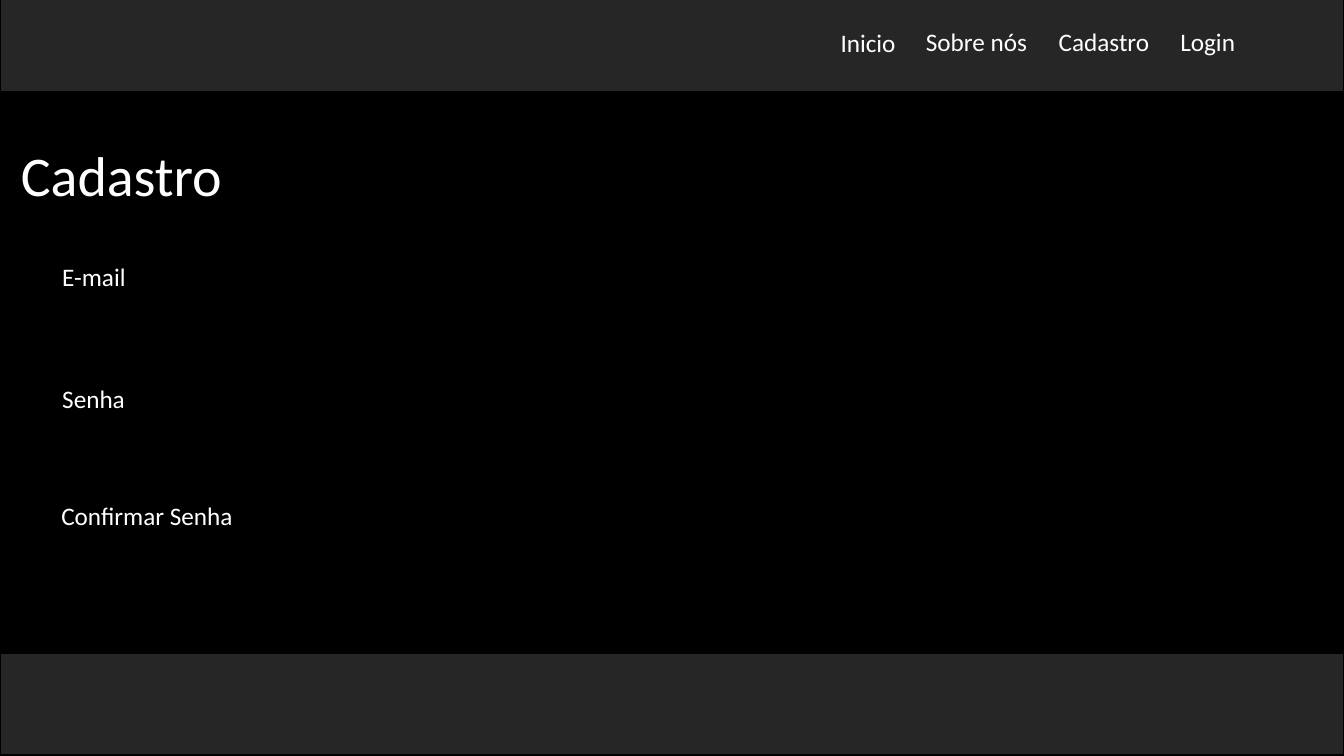
from pptx import Presentation
from pptx.dml.color import RGBColor
from pptx.enum.shapes import MSO_SHAPE as SHAPE
from pptx.enum.text import MSO_AUTO_SIZE as AUTO
from pptx.util import Pt

WIDTH, HEIGHT = 960, 540
BLACK, GRAY, WHITE = "000000", "262626", "FFFFFF"
BAR_HEIGHT = 72.7
LABEL_HEIGHT = 29


def color(hex_text):
    return RGBColor.from_string(hex_text)


def add_text(slide, text, left, top, width, height, size=18, wrap=False):
    tb = slide.shapes.add_textbox(Pt(left), Pt(top), Pt(width), Pt(height))
    tf = tb.text_frame
    tf.word_wrap = wrap
    tf.auto_size = AUTO.SHAPE_TO_FIT_TEXT
    r = tf.paragraphs[0].add_run()
    r.text = text
    r.font.name = "Calibri"
    r.font.size = Pt(size)
    r.font.color.rgb = color(WHITE)


def add_bar(slide, top):
    sp = slide.shapes.add_shape(SHAPE.RECTANGLE, 0, Pt(top), Pt(WIDTH), Pt(BAR_HEIGHT))
    sp.shadow.inherit = False
    sp.fill.solid()
    sp.fill.fore_color.rgb = color(GRAY)
    sp.line.color.rgb = color(BLACK)
    sp.line.width = Pt(1)


def add_header(slide, top):
    add_bar(slide, top)
    gap = 7
    left = 593.3
    menu = [("Inicio", 54, 23), ("Sobre nós", 87.8, 22.3),
            ("Cadastro", 79.9, 22.3), ("Login", 54, 22.3)]
    for text, width, offset in menu:
        add_text(slide, text, left, top + offset, width, LABEL_HEIGHT)
        left += width + gap


def add_form(slide, left, top):
    add_text(slide, "Cadastro", left, top, 182.2, 55.7, size=40, wrap=True)
    fields = [("E-mail", 29.5, 86.4, 60.5), ("Senha", 29.5, 173.5, 59.8),
              ("Confirmar Senha", 28.8, 257, 138.2)]
    for text, indent, offset, width in fields:
        add_text(slide, text, left + indent, top + offset, width, LABEL_HEIGHT)


def main():
    prs = Presentation()
    prs.slide_width, prs.slide_height = Pt(WIDTH), Pt(HEIGHT)
    slide = prs.slides.add_slide(prs.slide_layouts[6])
    slide.background.fill.solid()
    slide.background.fill.fore_color.rgb = color(BLACK)
    add_header(slide, -7.2)
    add_bar(slide, 466.6)
    add_form(slide, 7.9, 96.5)
    prs.save("out.pptx")


if __name__ == "__main__":
    main()
